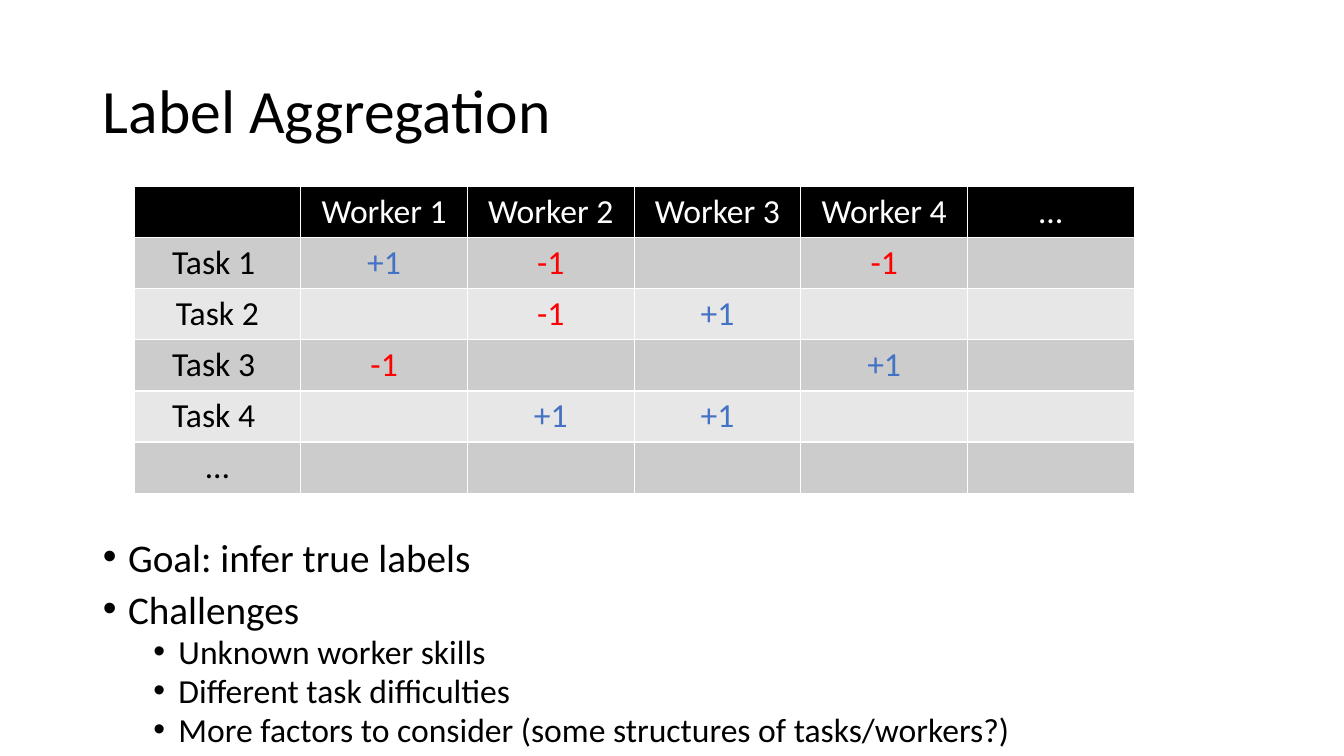
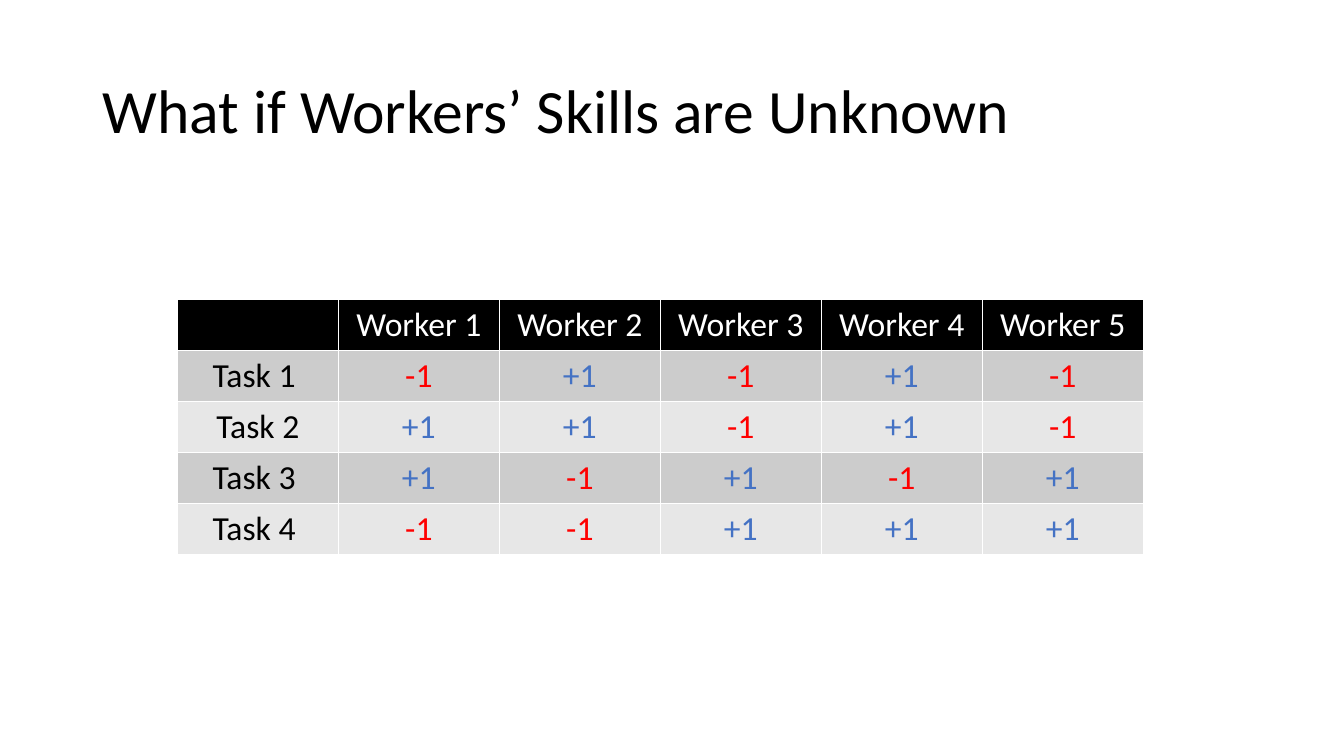
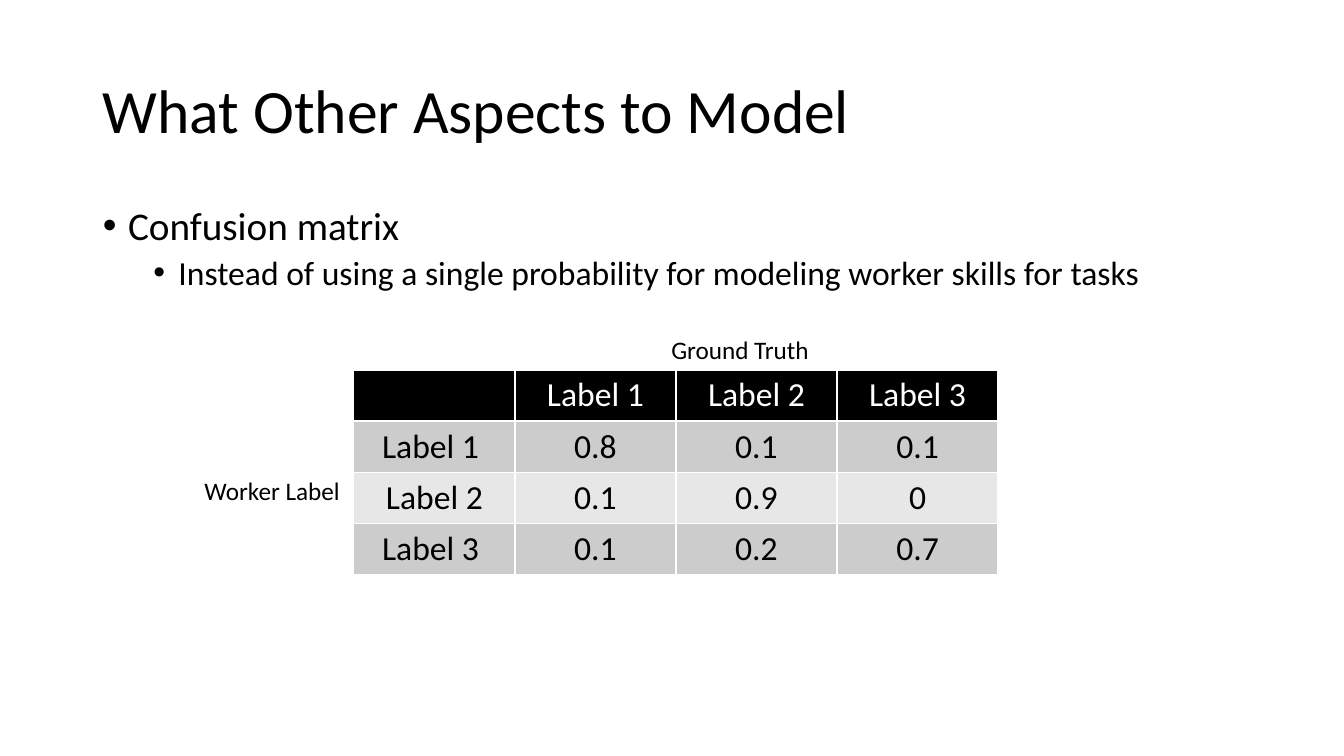
from dataclasses import dataclass

from lxml import etree
from pptx import Presentation
from pptx.dml.color import RGBColor
from pptx.enum.text import MSO_ANCHOR, MSO_AUTO_SIZE, PP_ALIGN
from pptx.oxml.ns import qn
from pptx.util import Emu, Pt

LEFT, CENTER = PP_ALIGN.LEFT, PP_ALIGN.CENTER
TOP, MIDDLE = MSO_ANCHOR.TOP, MSO_ANCHOR.MIDDLE
NO_AUTOFIT = MSO_AUTO_SIZE.NONE
EMU_PER_PX = 9144  # 100 px to the inch
TITLE_ONLY, TITLE_AND_BODY = 5, 1  # template layouts


@dataclass(frozen=True)
class Theme:
    font: str = "Calibri"
    ink: str = "000000"
    paper: str = "FFFFFF"
    positive: str = "4472C4"
    negative: str = "FF0000"
    bands: tuple = ("CCCCCC", "E7E7E7")
    title_size: int = 44
    list_sizes: tuple = (28, 24)
    list_spacing: tuple = (10, 5)
    list_indents: tuple = (25, 75)
    hanging: int = 25
    table_size: int = 24
    label_size: int = 18
    border_width: int = 1
    row_height: int = 50


THEME = Theme()


def px(length):
    return Emu(length * EMU_PER_PX)


def place(shape, left, top, width, height):
    shape.left, shape.top = px(left), px(top)
    shape.width, shape.height = px(width), px(height)


def write_text(paragraph, text, *, size, color=THEME.ink, align=LEFT, line_spacing=1.0):
    paragraph.alignment = align
    paragraph.line_spacing = line_spacing
    run = paragraph.add_run()
    run.text = text
    run.font.name = THEME.font
    run.font.size = Pt(size)
    run.font.color.rgb = RGBColor.from_string(color)


# Slide parts
def add_slide(presentation, layout, title):
    slide = presentation.slides.add_slide(presentation.slide_layouts[layout])
    shape = slide.shapes.title
    place(shape, 92, 40, 1150, 145)
    frame = shape.text_frame
    frame.vertical_anchor = MIDDLE
    frame.auto_size = NO_AUTOFIT
    write_text(frame.paragraphs[0], title, size=THEME.title_size, line_spacing=0.9)
    return slide


def add_bullet(paragraph, level):
    properties = paragraph._p.get_or_add_pPr()
    properties.set("marL", str(px(THEME.list_indents[level])))
    properties.set("indent", str(-px(THEME.hanging)))
    etree.SubElement(properties, qn("a:buFont"), typeface="Arial")
    etree.SubElement(properties, qn("a:buChar"), char="•")


def fill_body(slide, items, top, height, line_spacing):
    """Write (level, text) items as a bulleted list in the body placeholder."""
    body = slide.placeholders[1]
    place(body, 92, top, 1150, height)
    frame = body.text_frame
    frame.vertical_anchor = TOP
    frame.auto_size = NO_AUTOFIT
    for index, (level, text) in enumerate(items):
        paragraph = frame.add_paragraph() if index else frame.paragraphs[0]
        paragraph.level = level
        add_bullet(paragraph, level)
        paragraph.space_before = Pt(THEME.list_spacing[level] if index else 0)
        write_text(paragraph, text, size=THEME.list_sizes[level],
                   line_spacing=line_spacing)


def add_label(slide, text, left, top, width):
    box = slide.shapes.add_textbox(px(left), px(top), px(width), px(40))
    box.text_frame.word_wrap = False
    write_text(box.text_frame.paragraphs[0], text, size=THEME.label_size)


# Tables
def add_borders(cell):
    properties = cell._tc.get_or_add_tcPr()
    for index, side in enumerate(("a:lnL", "a:lnR", "a:lnT", "a:lnB")):
        line = etree.Element(qn(side), w=str(Pt(THEME.border_width)))
        fill = etree.SubElement(line, qn("a:solidFill"))
        etree.SubElement(fill, qn("a:srgbClr"), val=THEME.paper)
        properties.insert(index, line)


def cell_color(text, is_header):
    if is_header:
        return THEME.paper
    return {"+1": THEME.positive, "-1": THEME.negative}.get(text, THEME.ink)


def add_grid(slide, rows, left, top, width):
    height = THEME.row_height * len(rows)
    table = slide.shapes.add_table(len(rows), len(rows[0]), px(left), px(top),
                                   px(width), px(height)).table
    for row_index, row in enumerate(rows):
        is_header = row_index == 0
        band = THEME.ink if is_header else THEME.bands[(row_index - 1) % 2]
        for column_index, text in enumerate(row):
            cell = table.cell(row_index, column_index)
            cell.fill.solid()
            cell.fill.fore_color.rgb = RGBColor.from_string(band)
            add_borders(cell)
            if text:
                write_text(cell.text_frame.paragraphs[0], text, align=CENTER,
                           size=THEME.table_size, color=cell_color(text, is_header))


# Slides
def build_aggregation(presentation):
    slide = add_slide(presentation, TITLE_AND_BODY, "Label Aggregation")
    fill_body(slide, [
        (0, "Goal: infer true labels"),
        (0, "Challenges"),
        (1, "Unknown worker skills"),
        (1, "Different task difficulties"),
        (1, "More factors to consider (some structures of tasks/workers?)"),
    ], top=533, height=217, line_spacing=0.8)
    add_grid(slide, [
        ["", "Worker 1", "Worker 2", "Worker 3", "Worker 4", "…"],
        ["Task 1 ", "+1", "-1", "", "-1", ""],
        ["Task 2", "", "-1", "+1", "", ""],
        ["Task 3 ", "-1", "", "", "+1", ""],
        ["Task 4 ", "", "+1", "+1", "", ""],
        ["…", "", "", "", "", ""],
    ], left=133, top=185, width=992)


def build_unknown_skills(presentation):
    slide = add_slide(presentation, TITLE_ONLY, "What if Workers’ Skills are Unknown")
    add_grid(slide, [
        ["", "Worker 1", "Worker 2", "Worker 3", "Worker 4", "Worker 5"],
        ["Task 1 ", "-1", "+1", "-1", "+1", "-1"],
        ["Task 2", "+1", "+1", "-1", "+1", "-1"],
        ["Task 3 ", "+1", "-1", "+1", "-1", "+1"],
        ["Task 4 ", "-1", "-1", "+1", "+1", "+1"],
    ], left=176, top=297, width=958)


def build_confusion_matrix(presentation):
    slide = add_slide(presentation, TITLE_AND_BODY, "What Other Aspects to Model")
    fill_body(slide, [
        (0, "Confusion matrix"),
        (1, "Instead of using a single probability for modeling worker skills for tasks"),
    ], top=200, height=476, line_spacing=0.9)
    add_grid(slide, [
        ["", "Label 1", "Label 2", "Label 3"],
        ["Label 1 ", "0.8", "0.1", "0.1"],
        ["Label 2", "0.1", "0.9", "0"],
        ["Label 3 ", "0.1", "0.2", "0.7"],
    ], left=351, top=367, width=639)
    add_label(slide, "Ground Truth", left=656, top=327, width=158)
    add_label(slide, "Worker Label", left=193, top=467, width=156)


def main():
    presentation = Presentation()
    presentation.slide_width, presentation.slide_height = px(1333), px(750)
    build_aggregation(presentation)
    build_unknown_skills(presentation)
    build_confusion_matrix(presentation)
    presentation.save("out.pptx")


if __name__ == "__main__":
    main()
